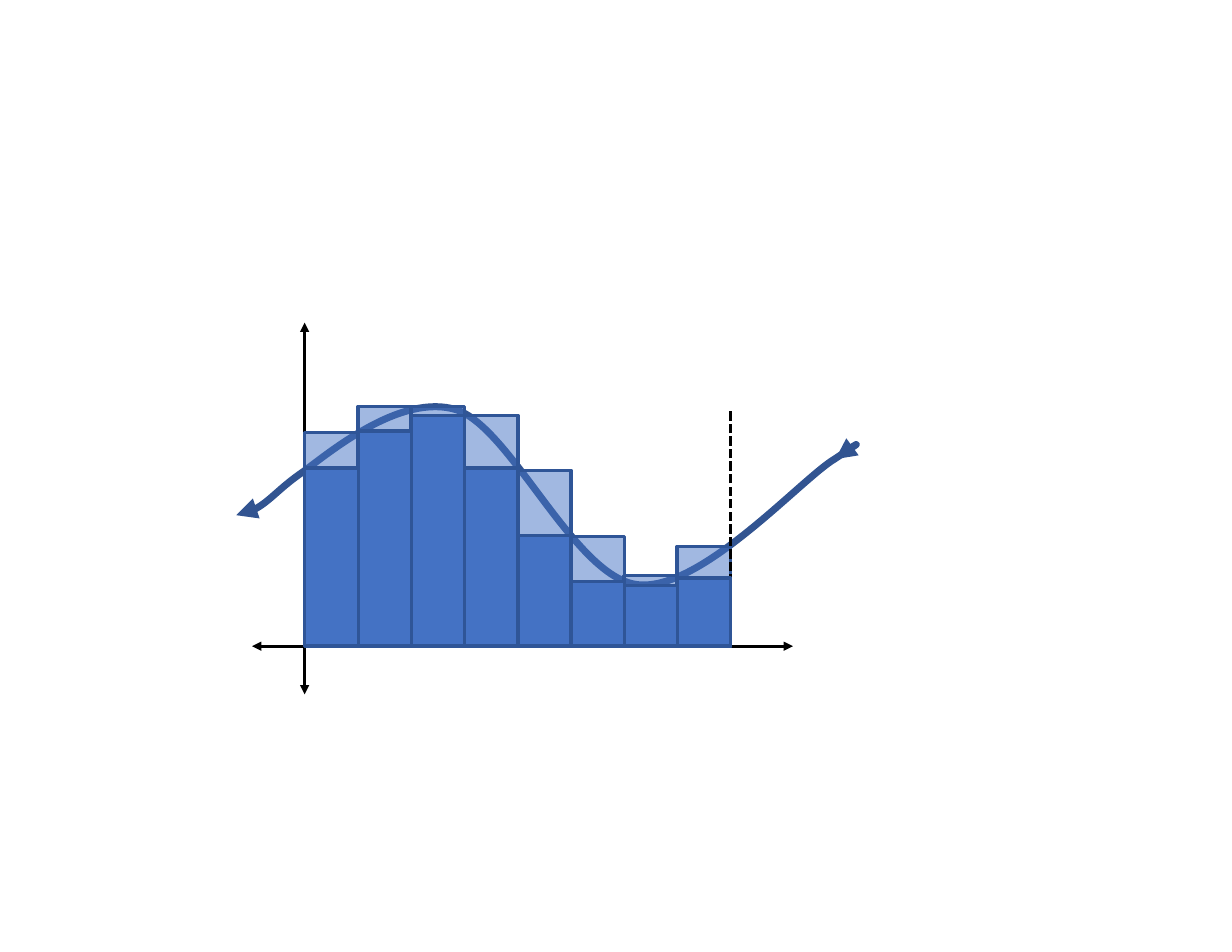
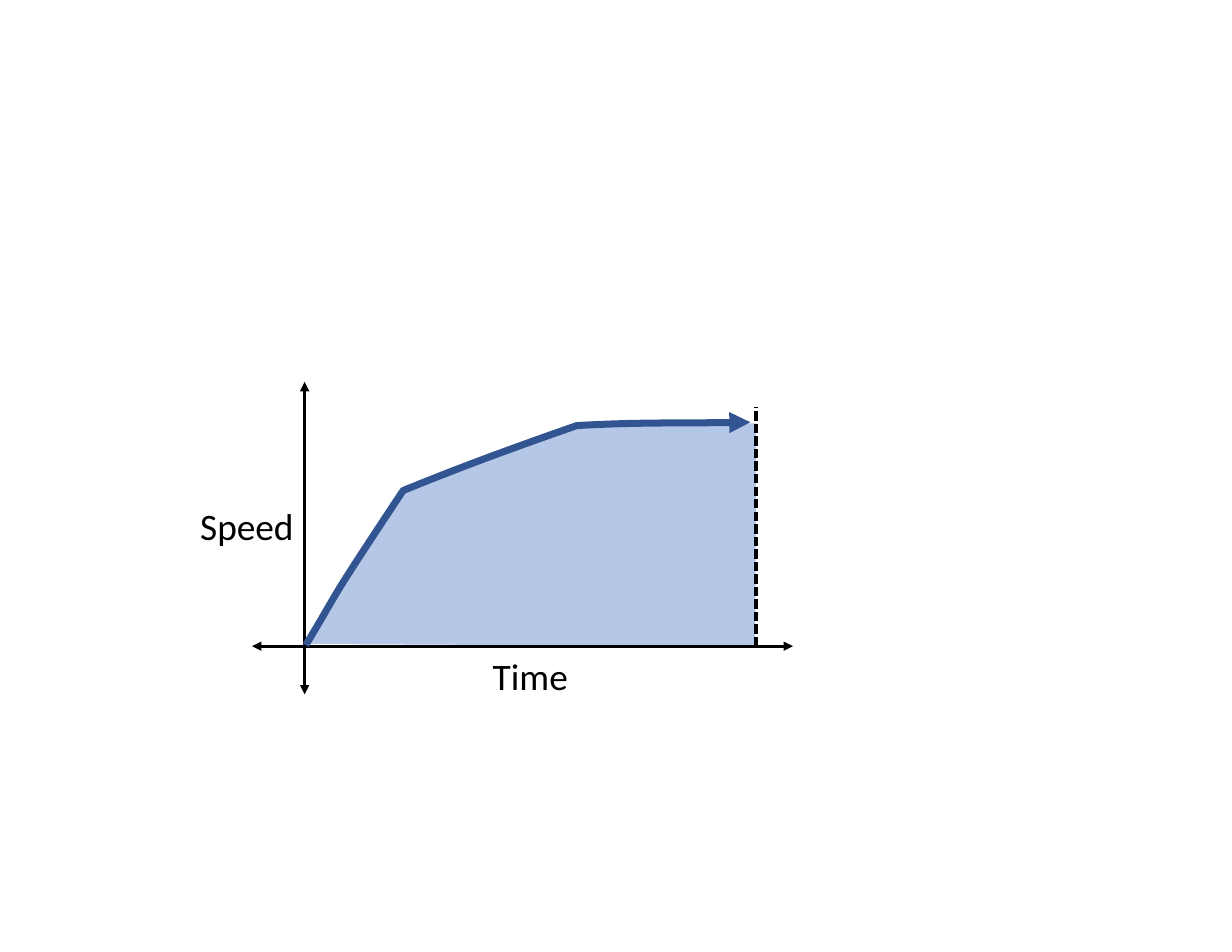
from lxml import etree
from pptx import Presentation
from pptx import util as u
from pptx.dml.color import RGBColor
from pptx.enum import dml, shapes, text
from pptx.oxml.ns import qn

BLACK = RGBColor(0x00, 0x00, 0x00)
BAR_BLUE = RGBColor(0x44, 0x72, 0xC4)
BAR_EDGE = RGBColor(0x2F, 0x55, 0x97)
CURVE_BLUE = RGBColor(0x32, 0x54, 0x91)
AREA_BLUE = RGBColor(0xB4, 0xC7, 0xE7)

ORIGIN_X, ORIGIN_Y = 2.72, 5.77
AXIS_LEFT, AXIS_RIGHT, AXIS_BOTTOM = 2.25, 7.08, 6.2
BARS_RIGHT, BAR_WIDTH = 6.52, 0.48
TIME_END = 6.75

UPPER_TOPS = [3.86, 3.63, 3.63, 3.71, 4.2, 4.79, 5.14, 4.88]
LOWER_TOPS = [4.18, 3.85, 3.71, 4.18, 4.78, 5.19, 5.23, 5.16]

# A curve is a start point and segments: three points bend, one point is straight.
WAVE = [
    [(2.11, 4.6)],
    [(2.33, 4.58), (2.49, 4.36), (2.71, 4.21)],
    [(2.93, 4.05), (3.58, 3.5), (4.08, 3.66)],
    [(4.57, 3.83), (5.13, 5.15), (5.69, 5.22)],
    [(6.25, 5.29), (7.15, 4.28), (7.45, 4.1)],
    [(7.74, 3.91), (7.58, 4), (7.46, 4.1)],
]
SPEED_AREA = [
    [(2.72, 5.75)],
    [(3.06, 5.19), (2.86, 5.47), (3.59, 4.37)],
    [(4.08, 4.18), (4.51, 4.01), (5.13, 3.79)],
    [(5.65, 3.76), (6.22, 3.79), (6.75, 3.78)],
    [(6.75, 4.27), (6.75, 5.14), (6.74, 5.77)],
    [(2.72, 5.75)],
]
SPEED_CURVE = [
    [(2.73, 5.76)],
    [(3.07, 5.2), (2.87, 5.48), (3.6, 4.38)],
    [(4.09, 4.18), (4.52, 4.02), (5.15, 3.8)],
    [(5.66, 3.77), (6.17, 3.78), (6.7, 3.77)],
]


def set_all(target, values):
    """Set each attribute named in values on target."""
    for name, value in values.items():
        setattr(target, name, value)


def style_line(shape, color, width, ends=(), dash=None):
    """Colour the line of a shape and put triangles on the named ends."""
    shape.line.color.rgb = color
    shape.line.width = u.Pt(width)
    if dash:
        shape.line.dash_style = dash
    ln = shape.element.spPr.find(qn("a:ln"))
    for end in ends:
        etree.SubElement(ln, qn(f"a:{end}End"), type="triangle")


def add_line(slide, start, end, **style):
    """Add a black straight line without a shadow."""
    line = slide.shapes.add_connector(
        shapes.MSO_CONNECTOR.STRAIGHT, *(u.Inches(v) for v in start + end))
    style_line(line, BLACK, 2, **style)
    etree.SubElement(line.element.spPr, qn("a:effectLst"))


def add_axes(slide, top):
    """Add the two double-headed axes; top is where the vertical one ends."""
    ends = ("head", "tail")
    add_line(slide, (AXIS_LEFT, ORIGIN_Y), (AXIS_RIGHT, ORIGIN_Y), ends=ends)
    add_line(slide, (ORIGIN_X, AXIS_BOTTOM), (ORIGIN_X, top), ends=ends)


def add_limit(slide, x, top):
    """Add the dashed vertical line that closes the interval."""
    add_line(slide, (x, ORIGIN_Y), (x, top), dash=dml.MSO_LINE.SQUARE_DOT)


def add_curve(slide, segments, frame, fill=None, ends=None):
    """Add a Bezier outline in its frame, either filled or drawn as a line."""
    left, top, width, height = (u.Inches(v) for v in frame)
    anchors = [tuple(u.Inches(v) for v in points[-1]) for points in segments]
    builder = slide.shapes.build_freeform(*anchors[0])
    builder.add_line_segments(anchors[1:], close=False)
    curve = builder.convert_to_shape()
    set_all(curve, {"left": left, "top": top, "width": width, "height": height})
    curve.shadow.inherit = False

    outline = curve.element.spPr.find(".//" + qn("a:path"))
    for step in list(outline):
        outline.remove(step)
    outline.set("w", str(width))
    outline.set("h", str(height))
    for number, points in enumerate(segments):
        kind = "cubicBezTo" if len(points) == 3 else "lnTo"
        step = etree.SubElement(outline, qn(f"a:{kind if number else 'moveTo'}"))
        for x, y in points:
            etree.SubElement(step, qn("a:pt"), x=str(u.Inches(x) - left),
                             y=str(u.Inches(y) - top))

    if fill is not None:
        etree.SubElement(outline, qn("a:close"))
        curve.fill.solid()
        curve.fill.fore_color.rgb = fill
        curve.line.fill.background()
    else:
        curve.fill.background()
        style_line(curve, CURVE_BLUE, 4.5, ends)


def add_bar(slide, left, top, opacity):
    """Add one bar standing on the horizontal axis; opacity is in percent."""
    bar = slide.shapes.add_shape(
        shapes.MSO_SHAPE.RECTANGLE, u.Inches(left), u.Inches(top),
        u.Inches(BAR_WIDTH), u.Inches(ORIGIN_Y - top))
    bar.shadow.inherit = False
    bar.fill.solid()
    bar.fill.fore_color.rgb = BAR_BLUE
    if opacity < 100:
        color = bar.element.spPr.find(qn("a:solidFill")).find(qn("a:srgbClr"))
        etree.SubElement(color, qn("a:alpha"), val=str(opacity * 1000))
    style_line(bar, BAR_EDGE, 2.25)


def add_axis_label(slide, words, frame, align):
    """Add the name of an axis."""
    label = slide.shapes.add_textbox(*(u.Inches(v) for v in frame))
    set_all(label.text_frame, {
        "word_wrap": True, "auto_size": text.MSO_AUTO_SIZE.SHAPE_TO_FIT_TEXT})
    paragraph = label.text_frame.paragraphs[0]
    paragraph.alignment = align
    run = paragraph.add_run()
    run.text = words
    set_all(run.font, {"name": "Calibri", "size": u.Pt(24)})
    run.font.color.rgb = BLACK


def build_sums_slide(slide):
    """Draw a curve with its upper and lower sums."""
    pitch = (BARS_RIGHT - ORIGIN_X) / len(UPPER_TOPS)
    lefts = [ORIGIN_X + pitch * i for i in range(len(UPPER_TOPS))]
    add_axes(slide, 2.88)
    add_curve(slide, WAVE, (2.11, 3.63, 5.51, 1.59), ends=("head", "tail"))
    for left, top in zip(lefts, UPPER_TOPS):
        add_bar(slide, left, top, 50)
    add_limit(slide, BARS_RIGHT, 3.67)
    for left, top in reversed(list(zip(lefts, LOWER_TOPS))):
        add_bar(slide, left, top, 100)


def build_speed_slide(slide):
    """Draw speed over time with the area below it."""
    add_curve(slide, SPEED_AREA, (2.72, 3.78, 4.03, 1.99), fill=AREA_BLUE)
    add_axes(slide, 3.41)
    add_limit(slide, TIME_END, 3.63)
    add_axis_label(slide, "Time", (ORIGIN_X, 5.78, TIME_END - ORIGIN_X, 0.5),
                   text.PP_ALIGN.CENTER)
    add_axis_label(slide, "Speed", (1.57, 4.44, ORIGIN_X - 1.57, 0.5),
                   text.PP_ALIGN.RIGHT)
    add_curve(slide, SPEED_CURVE, (2.73, 3.77, 3.97, 1.99), ends=("tail",))


def main():
    """Build both slides and save them."""
    deck = Presentation()
    set_all(deck, {"slide_width": u.Inches(11), "slide_height": u.Inches(8.5)})
    blank = deck.slide_layouts[6]
    for build in (build_sums_slide, build_speed_slide):
        build(deck.slides.add_slide(blank))
    deck.save("out.pptx")


main()
